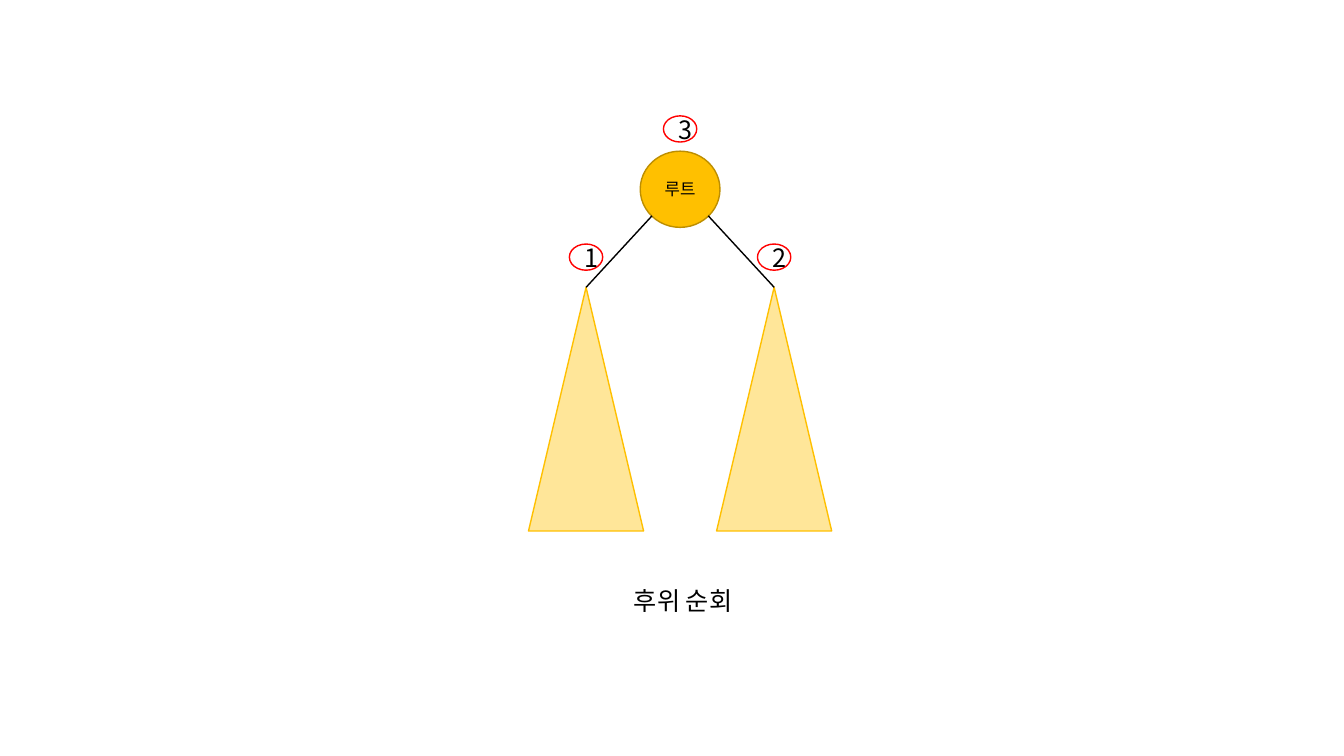
"""Build a slide that shows the visiting order of a postorder tree traversal."""
from lxml import etree
from pptx import Presentation
from pptx.dml.color import RGBColor
from pptx.enum.shapes import MSO_CONNECTOR, MSO_SHAPE
from pptx.enum.text import MSO_ANCHOR, PP_ALIGN
from pptx.oxml.ns import qn
from pptx.util import Cm, Pt

NODE = MSO_SHAPE.FLOWCHART_CONNECTOR
TRIANGLE = MSO_SHAPE.ISOSCELES_TRIANGLE
STRAIGHT = MSO_CONNECTOR.STRAIGHT
MIDDLE = MSO_ANCHOR.MIDDLE
CENTER = PP_ALIGN.CENTER

FONT = "Noto Sans CJK KR"
BLACK = "000000"
GOLD = "FFC000"
DARK_GOLD = "BD8E00"
PALE_GOLD = "FFE699"
RED = "FF0000"

ROOT_X = 17.14
SUBTREE_OFFSET = 2.37
EDGE_OFFSET = 0.71
EDGE_TOP = 5.44
SUBTREE_TOP = 7.24


def color(value):
    """Return the colour for a hex string."""
    return RGBColor.from_string(value)


def set_text(shape, text, size):
    """Write centred black text into a shape."""
    paragraph = shape.text_frame.paragraphs[0]
    paragraph.text = text
    paragraph.alignment = CENTER
    for run in paragraph.runs:
        run.font.size = Pt(size)
        run.font.color.rgb = color(BLACK)
        run.font.name = FONT
        east_asian = etree.SubElement(run.font._element, qn("a:ea"))
        east_asian.set("typeface", FONT)


def add_figure(slide, kind, center, top, width, height, line, fill=None):
    """Add a preset shape centred on a horizontal position."""
    shape = slide.shapes.add_shape(
        kind, Cm(center - width / 2), Cm(top), Cm(width), Cm(height)
    )
    shape.shadow.inherit = False
    if fill:
        shape.fill.solid()
        shape.fill.fore_color.rgb = color(fill)
    else:
        shape.fill.background()
    shape.line.color.rgb = color(line)
    shape.line.width = Pt(1)
    shape.text_frame.vertical_anchor = MIDDLE
    return shape


def add_edge(slide, start_x, start_y, end_x, end_y):
    """Add a thin black line between two points."""
    edge = slide.shapes.add_connector(
        STRAIGHT, Cm(start_x), Cm(start_y), Cm(end_x), Cm(end_y)
    )
    edge.line.color.rgb = color(BLACK)
    edge.line.width = Pt(1)
    etree.SubElement(edge._element.spPr, qn("a:effectLst"))


def add_order_badge(slide, number, center, top):
    """Add a red ring with a visiting number."""
    badge = add_figure(slide, NODE, center, top, 0.84, 0.66, RED)
    set_text(badge, number, 18)


def add_caption(slide, text):
    """Add the caption below the tree."""
    caption = slide.shapes.add_textbox(Cm(12.4), Cm(14.63), Cm(9.63), Cm(1.02))
    caption.text_frame.word_wrap = True
    set_text(caption, text, 18)


def main():
    """Build the slide and save it."""
    presentation = Presentation()
    presentation.slide_width = Cm(33.87)
    presentation.slide_height = Cm(19.05)
    slide = presentation.slides.add_slide(presentation.slide_layouts[6])

    root = add_figure(slide, NODE, ROOT_X, 3.81, 2.01, 1.92, DARK_GOLD, GOLD)
    set_text(root, "루트", 12)
    for side, number in ((-1, "1"), (1, "2")):
        subtree_x = ROOT_X + side * SUBTREE_OFFSET
        add_figure(slide, TRIANGLE, subtree_x, SUBTREE_TOP, 2.9, 6.14, GOLD, PALE_GOLD)
        add_edge(slide, subtree_x, SUBTREE_TOP, ROOT_X + side * EDGE_OFFSET, EDGE_TOP)
        add_order_badge(slide, number, subtree_x, 6.15)
    add_order_badge(slide, "3", ROOT_X, 2.92)
    add_caption(slide, "후위 순회")

    presentation.save("out.pptx")


if __name__ == "__main__":
    main()
